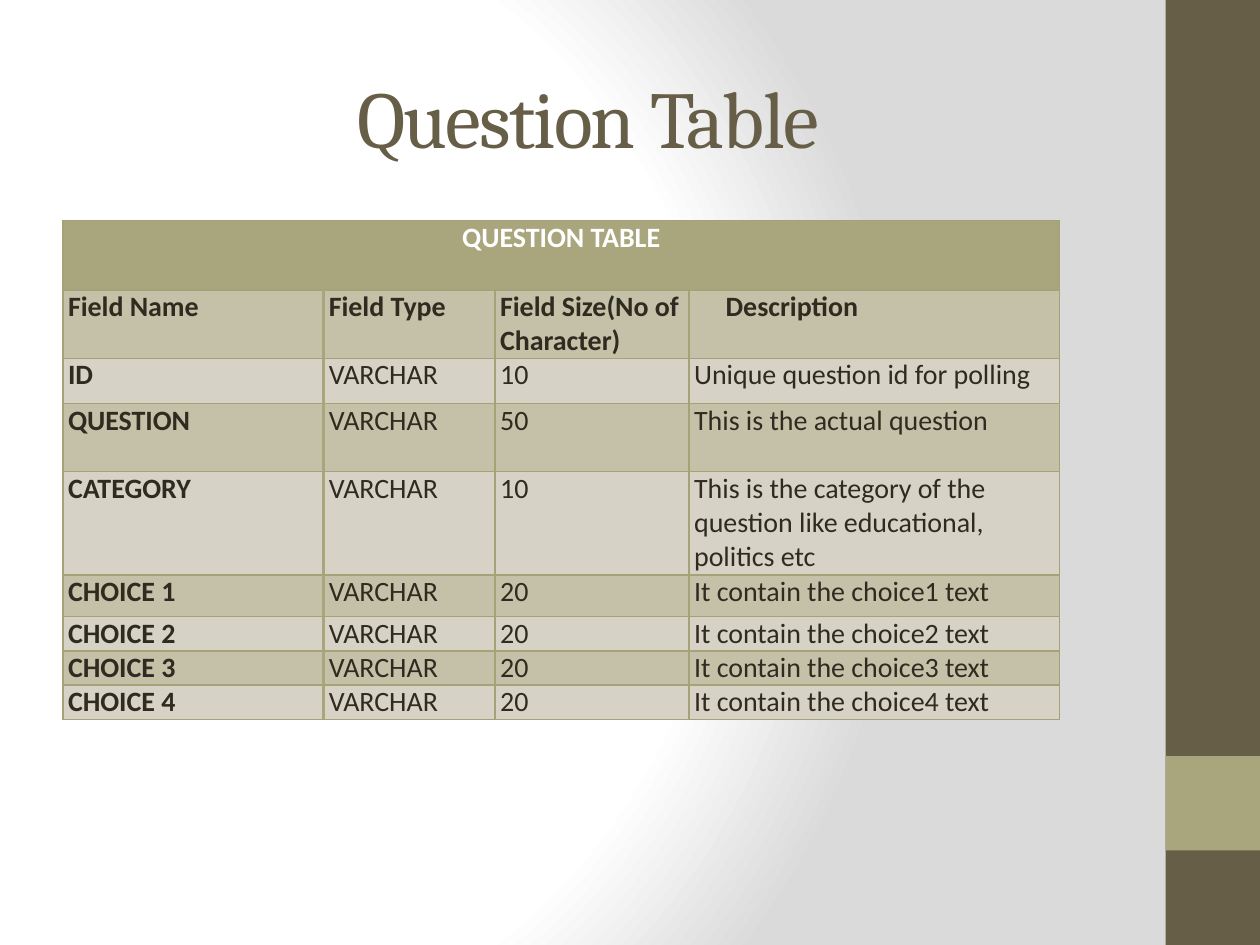
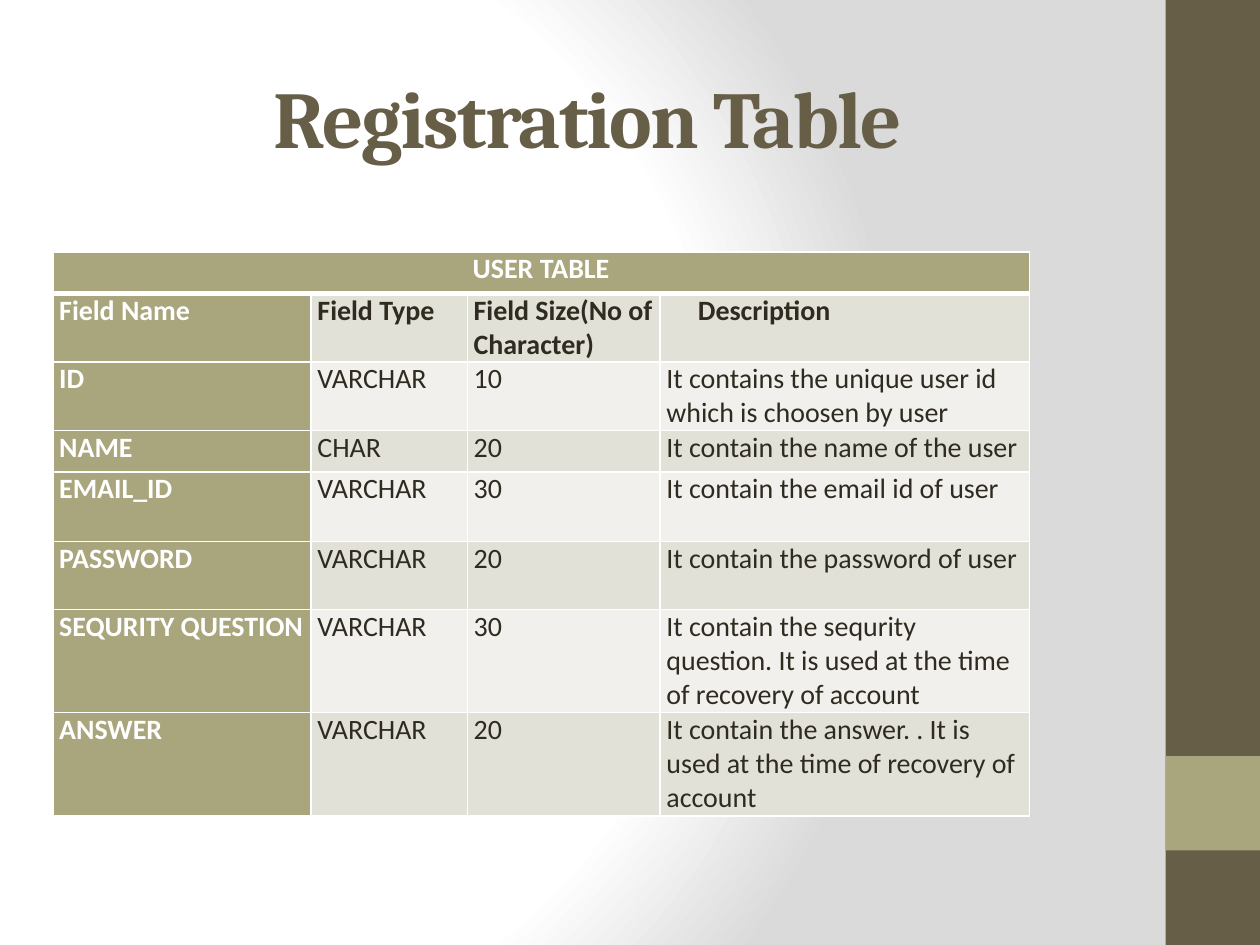
from lxml import etree
from pptx import Presentation
from pptx.dml.color import RGBColor
from pptx.enum.shapes import MSO_SHAPE
from pptx.enum.text import MSO_ANCHOR, PP_ALIGN
from pptx.oxml import parse_xml
from pptx.oxml.ns import nsdecls, qn
from pptx.util import Inches, Pt

RECTANGLE = MSO_SHAPE.RECTANGLE
MIDDLE = MSO_ANCHOR.MIDDLE
CENTER = PP_ALIGN.CENTER

COLORS = {
    "brown": "675E47",
    "olive": "A9A57C",
    "olive line": "A6A278",
    "olive band": "C4C1A8",
    "olive pale": "D6D3C6",
    "gray band": "E2E1D7",
    "gray pale": "F1F0EC",
    "ink": "2F2B20",
    "white": "FFFFFF",
    "shade": "DADADA",
}
TITLE_FONT, BODY_FONT = "Cambria", "Calibri"
TITLE_BOX = (0.5, 0.3, 8.33, 1.25)
TITLE_ONLY_LAYOUT = 5
DESCRIPTION_INDENT = 0.25

# Side bands: left, top, width, height, color
SIDE_BANDS = [
    (9.25, 0, 0.75, 7.5, "brown"),
    (9.25, 6, 0.75, 0.75, "olive"),
]
BACKGROUND_STOPS = [(0, "white"), (75, "white"), (100, "shade")]

COLUMN_HEADS = ("Field Name", "Field Type", "Field Size(No of Character)", "Description")

SLIDES = [
    {
        "title": "Question Table",
        "title bold": False,
        "caption": "QUESTION TABLE",
        "fields": [
            ("ID", "VARCHAR", "10", "Unique question id for polling"),
            ("QUESTION", "VARCHAR", "50", "This is the actual question"),
            ("CATEGORY", "VARCHAR", "10",
             "This is the category of the question like educational, politics etc"),
            *[(f"CHOICE {n}", "VARCHAR", "20", f"It contain the choice{n} text")
              for n in range(1, 5)],
        ],
        "position": (0.5, 1.75),
        "columns": (2.07, 1.36, 1.54, 2.94),
        "rows": (0.55, 0.54, 0.36, 0.54, 0.82, 0.33, 0.27, 0.27, 0.27),
        "inset": 0.04,
        "bands": ("olive pale", "olive band"),
        "first column": ("olive pale", "olive band"),
        "first column text": "ink",
        "line": "olive line",
        "caption line width": 1,
        "first column line": ("olive", 2),
    },
    {
        "title": "Registration Table",
        "title bold": True,
        "caption": "USER TABLE",
        "fields": [
            ("ID", "VARCHAR", "10", "It contains the unique user id which is choosen by user"),
            ("NAME", "CHAR", "20", "It contain the name of the user"),
            ("EMAIL_ID", "VARCHAR", "30", "It contain the email id of user"),
            ("PASSWORD", "VARCHAR", "20", "It contain the password of user"),
            ("SEQURITY QUESTION", "VARCHAR", "30",
             "It contain the sequrity question. It is used at the time of recovery of account"),
            ("ANSWER", "VARCHAR", "20",
             "It contain the answer. . It is used at the time of recovery of account"),
        ],
        "position": (0.42, 2),
        "columns": (2.05, 1.24, 1.53, 2.93),
        "rows": (0.33, 0.54, 0.54, 0.33, 0.55, 0.54, 0.82, 0.82),
        "inset": 0.05,
        "bands": ("gray pale", "gray band"),
        "first column": ("olive", "olive"),
        "first column text": "white",
        "line": "white",
        "caption line width": 3,
        "first column line": ("white", 1),
    },
]


def rgb(name):
    return RGBColor.from_string(COLORS[name])


def add_text(paragraph, text, font, size, color, bold):
    run = paragraph.add_run()
    run.text = text
    run.font.name = font
    run.font.size = Pt(size)
    run.font.bold = bold
    run.font.color.rgb = rgb(color)
    return run


def set_background(master):
    """Give the master a circular gradient centred left of the middle."""
    master.background.fill.solid()
    stops = "".join(
        f'<a:gs pos="{position * 1000}"><a:srgbClr val="{COLORS[color]}"/></a:gs>'
        for position, color in BACKGROUND_STOPS
    )
    gradient = parse_xml(
        f'<a:gradFill {nsdecls("a")} rotWithShape="1"><a:gsLst>{stops}</a:gsLst>'
        '<a:path path="circle">'
        '<a:fillToRect l="20000" t="50000" r="100000" b="50000"/></a:path></a:gradFill>'
    )
    solid = master.element.find(f'.//{qn("p:bgPr")}/{qn("a:solidFill")}')
    solid.getparent().replace(solid, gradient)


def add_side_bands(slide, master):
    """Draw the bands on a slide, then move them behind the master's placeholders."""
    tree = master.element.cSld.spTree
    for number, (left, top, width, height, color) in enumerate(SIDE_BANDS):
        band = slide.shapes.add_shape(
            RECTANGLE, Inches(left), Inches(top), Inches(width), Inches(height))
        band.shadow.inherit = False
        band.fill.solid()
        band.fill.fore_color.rgb = rgb(color)
        band.line.fill.background()
        band.element.nvSpPr.cNvPr.set("id", str(100 + number))
        tree.insert(2 + number, band.element)


def set_title(slide, text, bold):
    title = slide.shapes.title
    title.left, title.top, title.width, title.height = map(Inches, TITLE_BOX)
    title.text_frame.vertical_anchor = MIDDLE
    paragraph = title.text_frame.paragraphs[0]
    paragraph.alignment = CENTER
    run = add_text(paragraph, text, TITLE_FONT, 46, "brown", bold)
    run.font._element.set("spc", "-100")


def set_borders(cell, borders):
    """Add the borders, a dict of side letter to (color, points), before any fill."""
    properties = cell._tc.get_or_add_tcPr()
    for side in "LRTB":
        color, width = borders[side]
        line = etree.SubElement(properties, qn(f"a:ln{side}"), w=str(Pt(width)))
        fill = etree.SubElement(line, qn("a:solidFill"))
        etree.SubElement(fill, qn("a:srgbClr"), val=COLORS[color])


def cell_borders(content, row, column):
    borders = dict.fromkeys("LRTB", (content["line"], 1))
    if row <= 1:
        borders["B" if row == 0 else "T"] = (content["line"], content["caption line width"])
    if row > 0 and column <= 1:
        borders["R" if column == 0 else "L"] = content["first column line"]
    return borders


def cell_colors(content, row, column):
    """Return the fill and text colors of a cell."""
    if row == 0:
        return "olive", "white"
    if column == 0:
        return content["first column"][row % 2], content["first column text"]
    return content["bands"][row % 2], "ink"


def add_field_table(slide, content):
    rows = [(content["caption"], "", "", ""), COLUMN_HEADS, *content["fields"]]
    left, top = content["position"]
    table = slide.shapes.add_table(
        len(rows), len(COLUMN_HEADS), Inches(left), Inches(top),
        Inches(sum(content["columns"])), Inches(sum(content["rows"]))).table
    table.first_row = table.horz_banding = False
    for column, width in zip(table.columns, content["columns"]):
        column.width = Inches(width)
    for row, height in zip(table.rows, content["rows"]):
        row.height = Inches(height)

    for row, texts in enumerate(rows):
        for column, text in enumerate(texts):
            cell = table.cell(row, column)
            fill, color = cell_colors(content, row, column)
            set_borders(cell, cell_borders(content, row, column))
            cell.fill.solid()
            cell.fill.fore_color.rgb = rgb(fill)
            indent = DESCRIPTION_INDENT if text == "Description" else 0
            cell.margin_left = Inches(content["inset"] + indent)
            cell.margin_right = Inches(content["inset"])
            cell.margin_top = cell.margin_bottom = 0
            if text:
                bold = row <= 1 or column == 0
                add_text(cell.text_frame.paragraphs[0], text, BODY_FONT, 16, color, bold)

    table.cell(0, 0).merge(table.cell(0, len(COLUMN_HEADS) - 1))
    table.cell(0, 0).text_frame.paragraphs[0].alignment = CENTER


def main():
    presentation = Presentation()
    presentation.slide_width, presentation.slide_height = Inches(10), Inches(7.5)
    master = presentation.slide_master
    set_background(master)
    for number, content in enumerate(SLIDES):
        slide = presentation.slides.add_slide(presentation.slide_layouts[TITLE_ONLY_LAYOUT])
        if number == 0:
            add_side_bands(slide, master)
        set_title(slide, content["title"], content["title bold"])
        add_field_table(slide, content)
    presentation.save("out.pptx")


if __name__ == "__main__":
    main()
